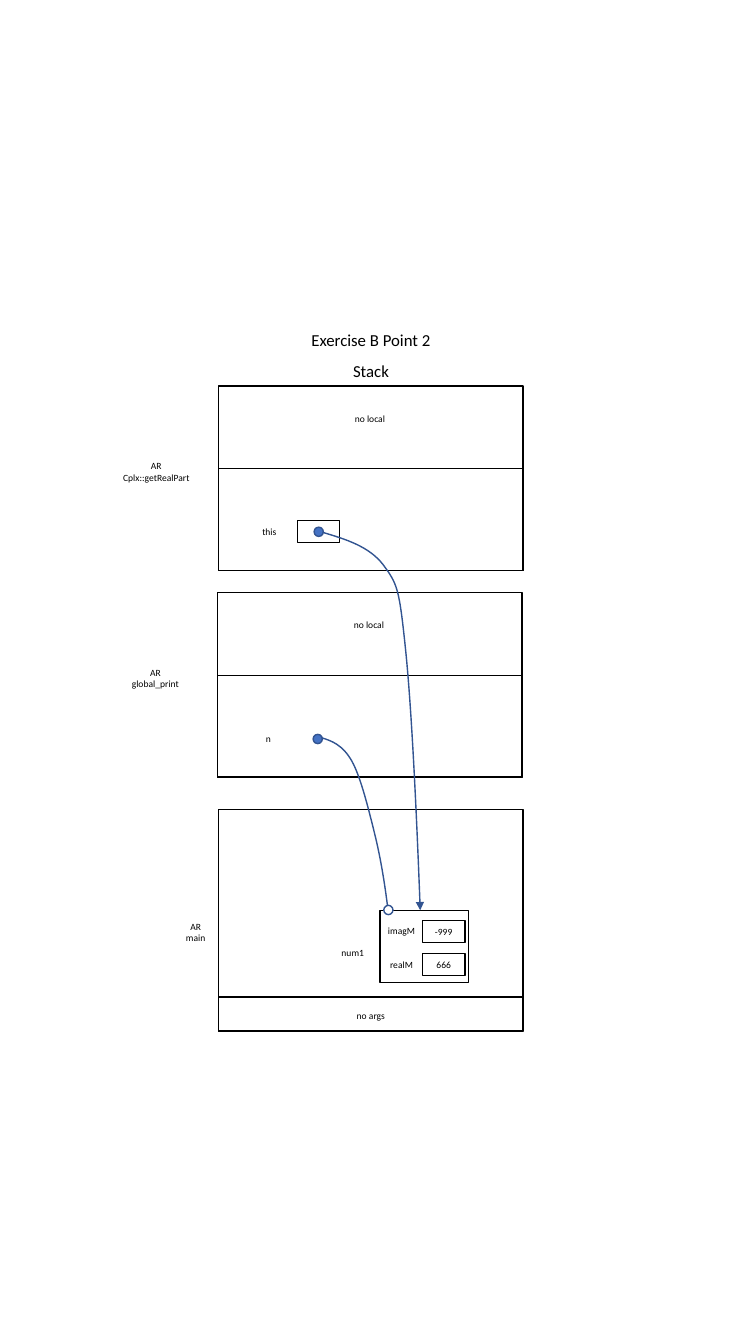
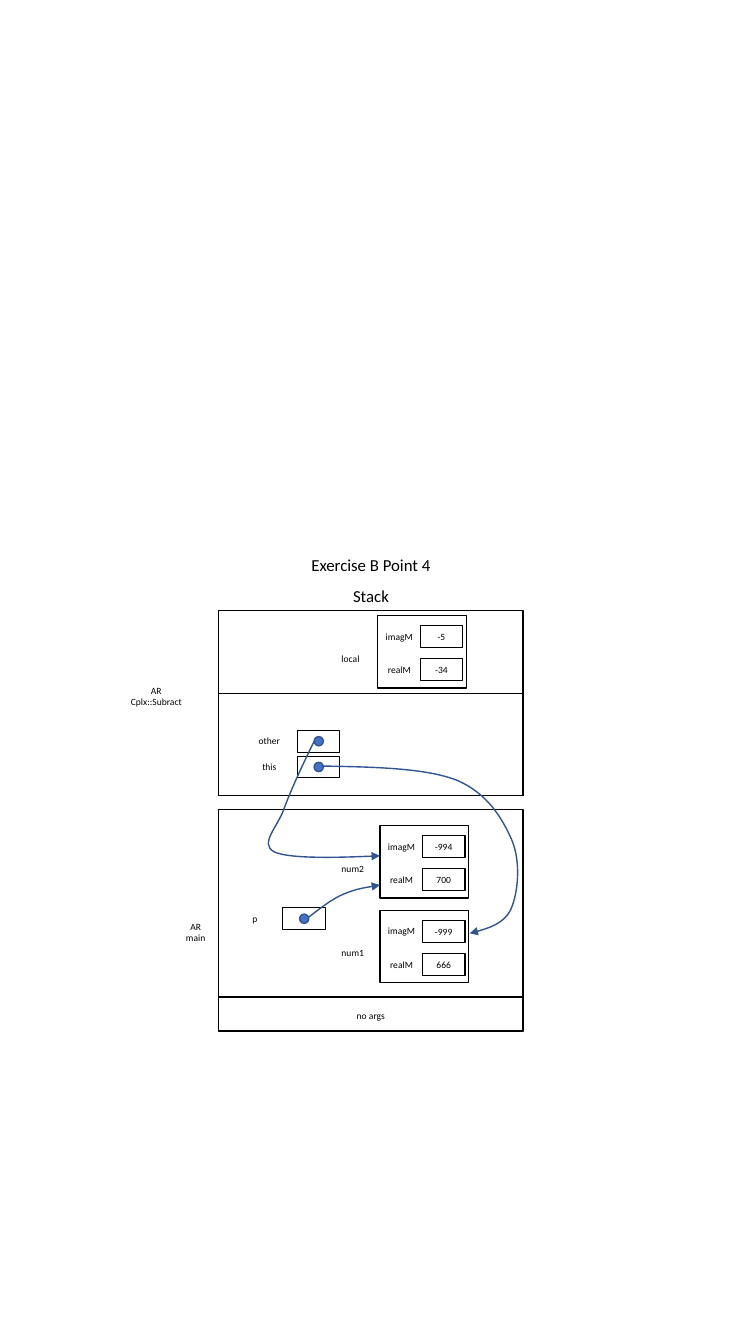
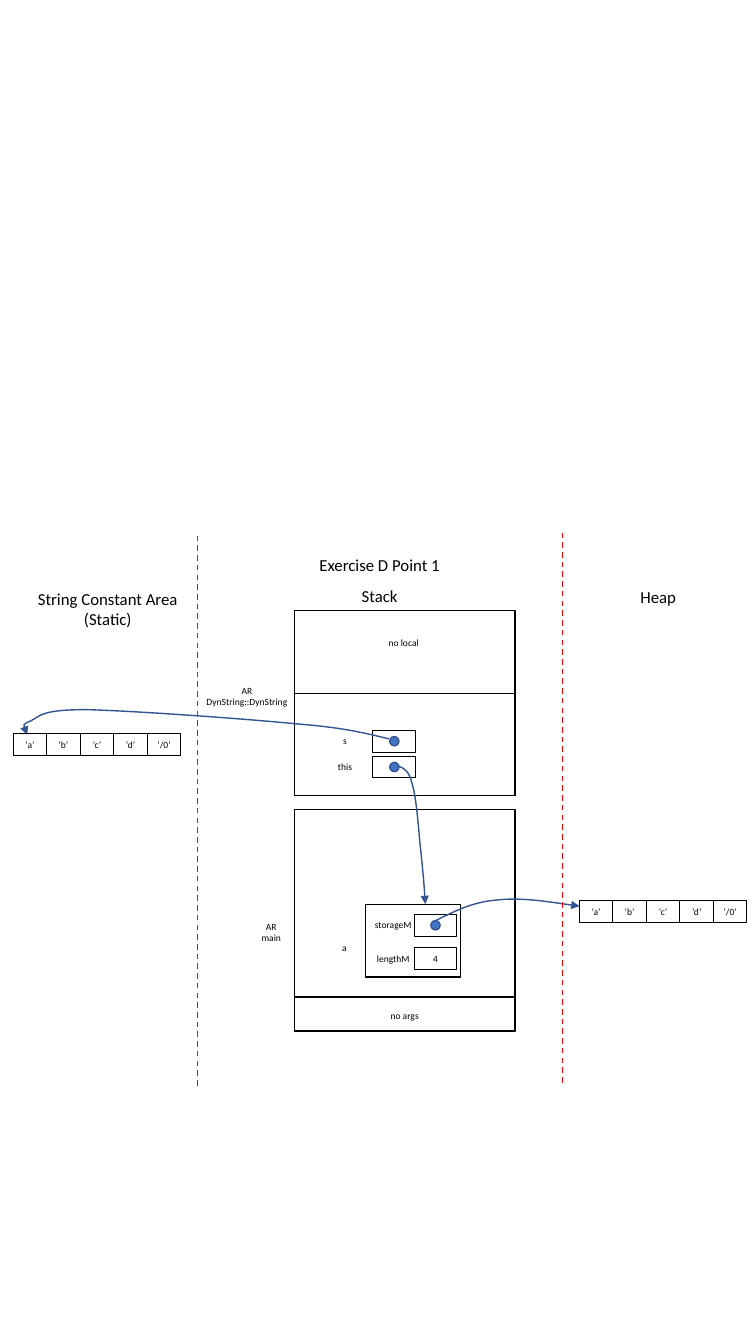
from dataclasses import dataclass
from typing import Any, Optional

from pptx import Presentation
from pptx import util as u
from pptx.dml.color import RGBColor
from pptx.enum import dml, shapes, text
from pptx.oxml import ns
from pptx.oxml.xmlchemy import OxmlElement

# Shared style
COLORS = {"ink": "000000", "paper": "FFFFFF", "dot": "4472C4",
          "arrow": "325491", "divider": "FF0000"}
FRAME_FORMAT = {
    "margin_left": 0, "margin_right": 0, "margin_top": 0, "margin_bottom": 0,
    "word_wrap": True, "auto_size": text.MSO_AUTO_SIZE.NONE,
    "vertical_anchor": text.MSO_ANCHOR.MIDDLE,
}
HEADING, SMALL = 12, 6.8
HEADING_H, LABEL_H, PAIR_H = 21.6, 15.1, 23.8
CELL_W, CELL_H, CHAR_W, DOT = 30.5, 15.5, 23.95, 6.6
FRAME_H, ARGS_OFFSET = 131.8, 59
MAIN_TOP, MAIN_H, MAIN_ARGS_H = 578.2, 158.4, 24.5

Point = tuple[float, float]


@dataclass(frozen=True)
class Frame:
    """Activation record of a called function."""
    name: str
    top: float
    no_local: bool = True
    shift: float = 0
    label_gap: float = 44.5


@dataclass(frozen=True)
class Pointer:
    name: str
    left: float
    top: float
    boxed: bool = True


@dataclass(frozen=True)
class Record:
    """Object with two members; a member without a value is a pointer."""
    name: str
    left: float
    top: float
    members: tuple[tuple[str, Optional[str]], ...]
    width: float = 63.4


@dataclass(frozen=True)
class Arrow:
    """Chain of cubic curves: a start, then three points per curve."""
    points: tuple[Point, ...]
    head: bool = True


@dataclass(frozen=True)
class Diagram:
    title: str
    left: float
    width: float
    centre: float
    frames: tuple[Frame, ...]
    pointers: tuple[Pointer, ...]
    records: tuple[Record, ...]
    arrows: tuple[Arrow, ...]


def color(name: str) -> RGBColor:
    return RGBColor.from_string(COLORS[name])


def set_all(target: Any, values: dict[str, Any]) -> None:
    for key, value in values.items():
        setattr(target, key, value)


def write(tf: Any, words: str, size: float) -> None:
    set_all(tf, FRAME_FORMAT)
    tf.text = words
    for p in tf.paragraphs:
        p.alignment = text.PP_ALIGN.CENTER
        for r in p.runs:
            set_all(r.font, {"name": "Calibri", "size": u.Pt(size), "bold": False})
            r.font.color.rgb = color("ink")


def label(s: Any, words: str, centre: float, top: float, width: float,
          height: float = LABEL_H, size: float = SMALL) -> None:
    sp = s.shapes.add_textbox(u.Pt(centre - width / 2), u.Pt(top),
                              u.Pt(width), u.Pt(height))
    write(sp.text_frame, words, size)


def outline(sp: Any, line: str, weight: float, fill: Optional[str] = None) -> None:
    sp.shadow.inherit = False
    if fill:
        sp.fill.solid()
        sp.fill.fore_color.rgb = color(fill)
    else:
        sp.fill.background()
    sp.line.color.rgb = color(line)
    sp.line.width = u.Pt(weight)


def box(parent: Any, left: float, top: float, width: float, height: float,
        weight: float = 1, fill: Optional[str] = None, words: str = "") -> None:
    sp = parent.shapes.add_shape(shapes.MSO_SHAPE.RECTANGLE, u.Pt(left), u.Pt(top),
                                 u.Pt(width), u.Pt(height))
    outline(sp, "ink", weight, fill)
    if words:
        write(sp.text_frame, words, SMALL)


def dot(s: Any, x: float, y: float, fill: str = "dot") -> None:
    sp = s.shapes.add_shape(shapes.MSO_SHAPE.OVAL, u.Pt(x - DOT / 2),
                            u.Pt(y - DOT / 2), u.Pt(DOT), u.Pt(DOT))
    outline(sp, "arrow", 1, fill)


def pointer_cell(s: Any, left: float, top: float, boxed: bool = True) -> None:
    if boxed:
        box(s, left, top, CELL_W, CELL_H, 0.75)
    dot(s, left + CELL_W / 2, top + CELL_H / 2)


def draw_frame(s: Any, d: Diagram, f: Frame) -> None:
    left = d.left + f.shift
    box(s, left, f.top, d.width, FRAME_H, fill="paper")
    box(s, left, f.top + ARGS_OFFSET, d.width, FRAME_H - ARGS_OFFSET, fill="paper")
    label(s, f"AR\n{f.name}", left - f.label_gap, f.top + 49.2, 89.3, PAIR_H)
    if f.no_local:
        label(s, "no local", left + d.width / 2 - 0.7, f.top + 15.5, d.width)


def draw_main(s: Any, d: Diagram) -> None:
    args_top = MAIN_TOP + MAIN_H - MAIN_ARGS_H
    box(s, d.left, MAIN_TOP, d.width, MAIN_H, fill="paper")
    box(s, d.left, args_top, d.width, MAIN_ARGS_H, fill="paper")
    label(s, "no args", d.left + d.width / 2, args_top + 5.7, d.width)
    label(s, "AR\nmain", d.left - 16.4, 653.8, 31.7, PAIR_H)


def draw_record(s: Any, rec: Record) -> None:
    box(s, rec.left, rec.top, rec.width, 51.8)
    cell_left = rec.left + rec.width - 33.1
    label(s, rec.name, cell_left - 49.7, rec.top + 23, 38.9)
    for i, (member, value) in enumerate(rec.members):
        top = rec.top + 7.2 + 23.8 * i
        label(s, member, cell_left - 14.9, top, 42.5)
        if value is None:
            pointer_cell(s, cell_left, top)
        else:
            box(s, cell_left, top, CELL_W, CELL_H, 0.75, words=value)


def draw_arrow(s: Any, arrow: Arrow) -> None:
    start, *rest = [(u.Pt(x), u.Pt(y)) for x, y in arrow.points]
    builder = s.shapes.build_freeform(*start)
    builder.add_line_segments(rest, close=False)
    sp = builder.convert_to_shape()
    outline(sp, "arrow", 1)
    # Join each three line segments into one cubic curve
    segments = list(sp._element.iter(ns.qn("a:lnTo")))
    for i in range(0, len(segments), 3):
        curve = segments[i]
        curve.tag = ns.qn("a:cubicBezTo")
        for segment in segments[i + 1:i + 3]:
            curve.append(segment[0])
            segment.getparent().remove(segment)
    if arrow.head:
        tail = OxmlElement("a:tailEnd")
        tail.set("type", "triangle")
        sp.line._get_or_add_ln().append(tail)


def draw_chars(s: Any, left: float, top: float) -> None:
    group = s.shapes.add_group_shape()
    for i, char in enumerate(("a", "b", "c", "d", "/0")):
        box(group, left + CHAR_W * i, top, CHAR_W, CELL_H, 0.75, words=f"‘{char}’")


def draw_divider(s: Any, x: float, top: float) -> None:
    line = s.shapes.add_connector(shapes.MSO_CONNECTOR.STRAIGHT, u.Pt(x),
                                  u.Pt(top + 394.6), u.Pt(x), u.Pt(top))
    line.line.color.rgb = color("divider")
    set_all(line.line, {"width": u.Pt(1), "dash_style": dml.MSO_LINE.DASH})
    line._element.spPr.append(OxmlElement("a:effectLst"))


def draw_diagram(prs: Any, d: Diagram) -> Any:
    s = prs.slides.add_slide(prs.slide_layouts[5])
    top, width = d.frames[0].top, 217.4
    title = s.shapes.title
    set_all(title, {"left": u.Pt(d.centre - width / 2), "top": u.Pt(top - 44),
                    "width": u.Pt(width), "height": u.Pt(HEADING_H)})
    write(title.text_frame, d.title, HEADING)
    label(s, "Stack", d.centre, top - 21.5, width, HEADING_H, HEADING)
    for f in d.frames:
        draw_frame(s, d, f)
    draw_main(s, d)
    for ptr in d.pointers:
        label(s, ptr.name, ptr.left - 20, ptr.top, 39)
        pointer_cell(s, ptr.left, ptr.top, ptr.boxed)
    for rec in d.records:
        draw_record(s, rec)
    for arrow in d.arrows:
        draw_arrow(s, arrow)
    return s


def complex_number(name: str, left: float, top: float, imag: str, real: str) -> Record:
    return Record(name, left, top, (("imagM", imag), ("realM", real)))


# Diagram contents
NUM1 = complex_number("num1", 271.4, 650.2, "-999", "666")

POINT_B2 = Diagram(
    "Exercise B Point 2", 156.2, 217.4, 265,
    (Frame("Cplx::getRealPart", 275.8), Frame("global_print", 423.4, shift=-0.7)),
    (Pointer("this", 212.4, 372.1), Pointer("n", 211.7, 520.1, boxed=False)),
    (NUM1,),
    (Arrow(((229.7, 527), (236.9, 529.2), (244.8, 532.1), (251.3, 543.6),
            (257.8, 555.1), (263.5, 578.9), (267.8, 596.2),
            (272.2, 614.2), (275, 632.2), (277.2, 650.2)), head=False),
     Arrow(((230.4, 380.2), (247, 385.2), (263.5, 390.2), (273.6, 403.2),
            (283.7, 416.9), (285.1, 419.8), (289.4, 460.8),
            (293.8, 501.8), (297.4, 576), (300.2, 650.2)))),
)
POINT_B4 = Diagram(
    "Exercise B Point 4", 156.2, 217.4, 265,
    (Frame("Cplx::Subract", 436.3, no_local=False),),
    (Pointer("other", 212.4, 521.7), Pointer("this", 212.4, 540.1),
     Pointer("p", 202, 648.5)),
    (NUM1, complex_number("num2", 271.4, 589.7, "-994", "700"),
     complex_number("local", 269.8, 439.7, "-5", "-34")),
    (Arrow(((220.3, 655.2), (229, 648.7), (236.9, 642.2), (245.5, 638.6),
            (254.2, 635), (262.8, 633.6), (271.4, 632.2))),
     Arrow(((230.4, 547.2), (267.1, 547.9), (303.8, 548.6), (326.2, 557.3),
            (348.5, 566.6), (359.3, 585.4), (365.8, 600.5),
            (372.2, 616.3), (370.1, 637.9), (365, 649.4),
            (360, 660.2), (340, 665.9), (335.5, 666.7))),
     Arrow(((224.6, 529.2), (216, 546.5), (208.1, 563.8), (203, 577.4),
            (198.7, 590.4), (185, 602.6), (195.8, 608.4),
            (207.4, 614.2), (268, 611.5), (271.4, 611.3)))),
)
POINT_D1 = Diagram(
    "Exercise D Point 1", 210.2, 157.7, 271.2,
    (Frame("DynString::DynString", 436.3, label_gap=33.8),),
    (Pointer("s", 266.4, 521.7), Pointer("this", 266.4, 540.1)),
    (Record("a", 261.2, 646, (("storageM", None), ("lengthM", "4")), 67.7),),
    (Arrow(((284.4, 547.2), (288.7, 548.6), (292.3, 550.8), (294.5, 560.2),
            (297.4, 569.5), (298.8, 589.7), (300.2, 604.1),
            (301.7, 617.8), (303.1, 632.2), (303.8, 645.8))),
     Arrow(((277.9, 527.8), (262.8, 524.2), (247, 519.8), (211, 517),
            (175, 513.4), (92.9, 507.6), (61.2, 506.9),
            (30.2, 506.9), (28.8, 511.2), (22.3, 514.8),
            (15.1, 517.7), (17.3, 521.3), (19.4, 524.9))),
     Arrow(((310.3, 658.1), (323.3, 651.6), (337, 644.4), (354.2, 643),
            (371.5, 640.8), (393.1, 644.4), (414, 647.3)))),
)

# Slides
prs = Presentation()
set_all(prs, {"slide_width": u.Pt(540), "slide_height": u.Pt(960)})

s = draw_diagram(prs, POINT_B2)
dot(s, 277.4, 650, "paper")

draw_diagram(prs, POINT_B4)

s = draw_diagram(prs, POINT_D1)
draw_chars(s, 9.4, 524.2)
draw_chars(s, 413.8, 643.5)
label(s, "Heap", 470.2, 415.4, 165.6, HEADING_H, HEADING)
label(s, "String Constant Area\n(Static)", 77, 414.6, 131, 40.3, HEADING)
draw_divider(s, 401.8, 378.7)
draw_divider(s, 141.1, 380.9)

prs.save("out.pptx")
